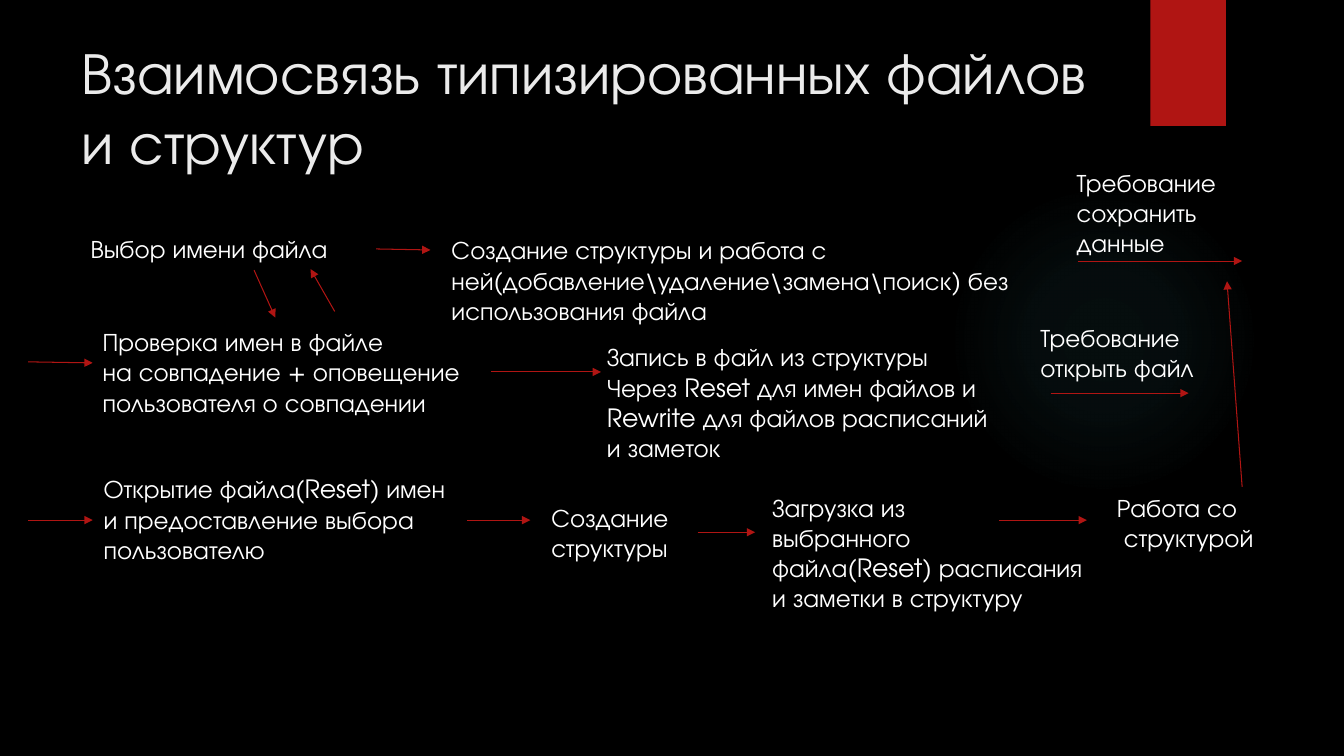
"""Build a slide on how typed files and structures are connected."""
import pptx
import pptx.dml.color
import pptx.enum.shapes
import pptx.enum.text
import pptx.oxml
import pptx.oxml.ns
import pptx.util

Inches = pptx.util.Inches
RGBColor = pptx.dml.color.RGBColor
BLACK = RGBColor(0x00, 0x00, 0x00)
RED = RGBColor(0xB0, 0x15, 0x13)
TITLE = RGBColor(0xEB, 0xEB, 0xEB)
WHITE = RGBColor(0xFF, 0xFF, 0xFF)
GLOW = RGBColor(0x50, 0xB9, 0xC1)
FONT = "TeX Gyre Adventor"

prs = pptx.Presentation()
prs.slide_width, prs.slide_height = Inches(13.33), Inches(7.5)
s = prs.slides.add_slide(prs.slide_layouts[6])
s.background.fill.solid()
s.background.fill.fore_color.rgb = BLACK


def add_text(text, left, top, width, height, size=18, color=WHITE, wrap=False, grow=True):
    tf = s.shapes.add_textbox(Inches(left), Inches(top), Inches(width), Inches(height)).text_frame
    tf.word_wrap = wrap
    tf.vertical_anchor = pptx.enum.text.MSO_ANCHOR.TOP
    if grow:
        tf.auto_size = pptx.enum.text.MSO_AUTO_SIZE.SHAPE_TO_FIT_TEXT
    for i, line in enumerate(text.split("\n")):
        p = tf.add_paragraph() if i else tf.paragraphs[0]
        r = p.add_run()
        r.text = line
        r.font.name, r.font.size = FONT, pptx.util.Pt(size)
        r.font.color.rgb = color


glow = s.shapes.add_shape(pptx.enum.shapes.MSO_SHAPE.OVAL,
                          Inches(9.41), Inches(1.83), Inches(3.08), Inches(3.08))
glow.shadow.inherit = False
glow.line.fill.background()
glow.fill.gradient()
grad = glow._element.spPr.find(pptx.oxml.ns.qn("a:gradFill"))
stops = "".join(
    f'<a:gs pos="{pos * 1000}"><a:srgbClr val="{GLOW}"><a:alpha val="{alpha * 1000}"/></a:srgbClr></a:gs>'
    for pos, alpha in [(0, 7), (36, 6), (69, 0)])
grad.getparent().replace(grad, pptx.oxml.parse_xml(
    f'<a:gradFill {pptx.oxml.ns.nsdecls("a")}><a:gsLst>{stops}</a:gsLst><a:path path="circle">'
    '<a:fillToRect l="50000" t="50000" r="50000" b="50000"/></a:path></a:gradFill>'))

tab = s.shapes.add_shape(pptx.enum.shapes.MSO_SHAPE.RECTANGLE,
                         Inches(11.41), Inches(0), Inches(0.75), Inches(1.25))
tab.shadow.inherit = False
tab.fill.solid()
tab.fill.fore_color.rgb = RED
tab.line.fill.background()

add_text("Взаимосвязь типизированных файлов и структур", 0.71, 0.3, 10.29, 0.55,
         size=42, color=TITLE, wrap=True, grow=False)
add_text("Создание структуры и работа с ней(добавление\\удаление\\замена\\поиск) без использования файла",
         4.38, 2.28, 6.44, 1.62, wrap=True)

steps = [
    ("Выбор имени файла", 0.8, 2.27, 2.93, 0.4),
    ("Требование\nсохранить\nданные", 10.58, 1.61, 1.74, 1.01),
    ("Проверка имен в файле\nна совпадение + оповещение\nпользователя о совпадении", 0.92, 3.19, 4.1, 1.01),
    ("Запись в файл из структуры\nЧерез Reset для имен файлов и\nRewrite для файлов расписаний\nи заметок",
     5.92, 3.34, 4.36, 1.31),
    ("Требование\nоткрыть файл", 10.22, 3.15, 1.96, 0.71),
    ("Открытие файла(Reset) имен\nи предоставление выбора\nпользователю", 0.93, 4.65, 4, 1.01),
    ("Создание\nструктуры", 5.37, 4.93, 1.54, 0.71),
    ("Загрузка из\nвыбранного\nфайла(Reset) расписания\nи заметки в структуру", 7.56, 4.83, 3.6, 1.31),
    ("Работа со\n структурой", 10.98, 4.83, 1.69, 0.71),
]
for step in steps:
    add_text(*step)

arrows = [
    (3.73, 2.47, 4.27, 2.48),
    (10.69, 2.59, 12.32, 2.59),
    (2.52, 2.68, 2.73, 3.15),
    (3.32, 3.09, 3.08, 2.67),
    (0.28, 3.59, 0.92, 3.6),
    (4.87, 3.69, 5.96, 3.69),
    (10.42, 3.9, 11.79, 3.9),
    (0.28, 5.16, 0.92, 5.16),
    (4.63, 5.16, 5.26, 5.16),
    (6.92, 5.28, 7.49, 5.28),
    (9.91, 5.16, 10.78, 5.16),
    (12.32, 4.83, 12.17, 2.79),
]
for ends in arrows:
    arrow = s.shapes.add_connector(pptx.enum.shapes.MSO_CONNECTOR.STRAIGHT, *map(Inches, ends))
    arrow.line.color.rgb = RED
    arrow.line.width = pptx.util.Pt(0.75)
    ln = arrow.line._get_or_add_ln()
    ln.append(pptx.oxml.parse_xml(f'<a:tailEnd {pptx.oxml.ns.nsdecls("a")} type="triangle"/>'))
    arrow._element.spPr.append(pptx.oxml.parse_xml(f'<a:effectLst {pptx.oxml.ns.nsdecls("a")}/>'))

prs.save("out.pptx")
